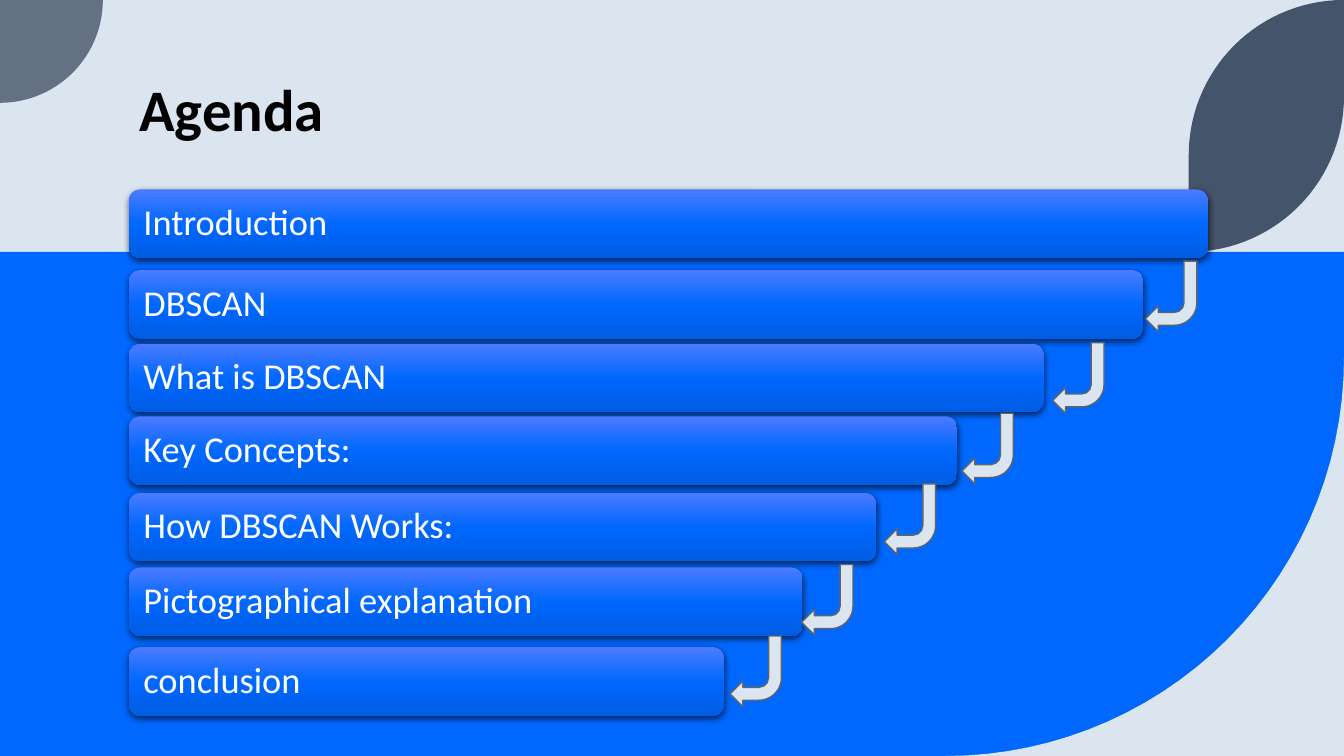
from copy import deepcopy
from dataclasses import dataclass
from math import cos, radians, sin

from pptx import Presentation
from pptx.dml.color import RGBColor
from pptx.enum.shapes import MSO_SHAPE as Shape
from pptx.enum.text import MSO_ANCHOR as Anchor, PP_ALIGN as Align
from pptx.oxml import parse_xml
from pptx.oxml.ns import nsdecls, qn
from pptx.util import Inches, Pt


@dataclass(frozen=True)
class Theme:
    font: str = "Calibri"
    title_size: int = 42
    item_size: int = 26
    pale: str = "DAE5EF"
    blue: str = "0068FF"
    grey: str = "637183"
    slate: str = "44546A"
    outline: str = "606469"
    black: str = "000000"
    white: str = "FFFFFF"
    bar_stops: tuple = ((0, "4B7BFF"), (0.5, "0068FF"), (1, "005CE3"))


theme = Theme()
rgb = RGBColor.from_string


def arc(x, y, radius, start, end):
    """Points along a circle, from one angle to another, in 3 degree steps."""
    step = 3 if end > start else -3
    return [(x + radius * cos(radians(a)), y + radius * sin(radians(a)))
            for a in range(start, end + step, step)]


def add_run(para, text, size, color, bold=False):
    span = para.add_run()
    span.text = text
    span.font.name = theme.font
    span.font.size = Pt(size)
    span.font.bold = bold
    span.font.color.rgb = rgb(color)


deck = Presentation()
deck.slide_width, deck.slide_height = Inches(13.33), Inches(7.5)
page = deck.slides.add_slide(deck.slide_layouts[5])
shapes = page.shapes

# Background: pale page with a blue lower band
page.background.fill.solid()
page.background.fill.fore_color.rgb = rgb(theme.pale)
band = shapes.add_shape(Shape.RECTANGLE, 0, Inches(2.5), Inches(13.33), Inches(5))
band.shadow.inherit = False
band.fill.solid()
band.fill.fore_color.rgb = rgb(theme.blue)
band.line.fill.background()

# Curved corners: lower right cut, upper left quarter, upper right leaf
corners = [
    (theme.pale, arc(9.38, 3.55, 3.95, 0, 90) + [(13.33, 7.5)]),
    (theme.grey, arc(0, 0, 1.02, 0, 90) + [(0, 0)]),
    (theme.slate, arc(11.79, 0.96, 1.54, 0, 90) + arc(13.33, 1.54, 1.54, 180, 270)),
]
for color, points in corners:
    (left, top), *rest = [(Inches(x), Inches(y)) for x, y in points]
    builder = shapes.build_freeform(left, top)
    builder.add_line_segments(rest, close=True)
    corner = builder.convert_to_shape()
    corner.shadow.inherit = False
    corner.fill.solid()
    corner.fill.fore_color.rgb = rgb(color)
    corner.line.fill.background()

# Title
title = shapes.title
title.left, title.top = Inches(1.28), Inches(0.05)
title.width, title.height = Inches(10.69), Inches(1.42)
title.text_frame.vertical_anchor = Anchor.BOTTOM
para = title.text_frame.paragraphs[0]
para.alignment = Align.LEFT
para.line_spacing = 0.8
add_run(para, "Agenda", theme.title_size, theme.black, bold=True)

# Agenda bars: text, top, width
items = [
    ("Introduction", 1.88, 10.7),
    ("DBSCAN", 2.68, 10.06),
    ("What is DBSCAN", 3.41, 9.07),
    ("Key Concepts:", 4.13, 8.21),
    ("How DBSCAN Works:", 4.89, 7.41),
    ("Pictographical explanation", 5.63, 6.68),
    ("conclusion", 6.42, 5.9),
]
for text, top, width in items:
    bar = shapes.add_shape(Shape.ROUNDED_RECTANGLE, Inches(1.28), Inches(top),
                           Inches(width), Inches(0.68))
    bar.line.fill.background()

    # Three-stop gradient, light at the top
    bar.fill.gradient()
    bar.fill.gradient_angle = 270
    stop_list = next(bar._element.iter(qn("a:gsLst")))
    stop_list.append(deepcopy(stop_list[0]))
    for stop, (position, color) in zip(bar.fill.gradient_stops, theme.bar_stops):
        stop.position = position
        stop.color.rgb = rgb(color)

    # Soft shadow below
    bar.shadow.inherit = False
    next(bar._element.iter(qn("a:effectLst"))).append(parse_xml(
        f'<a:outerShdw {nsdecls("a")} blurRad="{Pt(4.5)}" dist="{Pt(1.5)}" '
        f'dir="5400000" algn="ctr" rotWithShape="0"><a:srgbClr val="{theme.black}">'
        '<a:alpha val="63000"/></a:srgbClr></a:outerShdw>'))

    frame = bar.text_frame
    frame.word_wrap = True
    frame.vertical_anchor = Anchor.MIDDLE
    frame.margin_left = frame.margin_right = Inches(0.11)
    frame.margin_top = frame.margin_bottom = 0
    para = frame.paragraphs[0]
    para.alignment = Align.LEFT
    para.line_spacing = 0.9
    add_run(para, text, theme.item_size, theme.white)

# Arrows stepping from each bar to the next
arrow_places = [(11.36, 2.59), (10.44, 3.4), (9.54, 4.1),
                (8.77, 4.8), (7.95, 5.6), (7.24, 6.31)]
for left, top in arrow_places:
    arrow = shapes.add_shape(Shape.BENT_ARROW, Inches(left), Inches(top),
                             Inches(0.51), Inches(0.7))
    arrow.rotation = 180
    arrow.shadow.inherit = False
    arrow.fill.solid()
    arrow.fill.fore_color.rgb = rgb(theme.pale)
    arrow.line.color.rgb = rgb(theme.outline)
    arrow.line.width = Pt(1)

deck.save("out.pptx")
